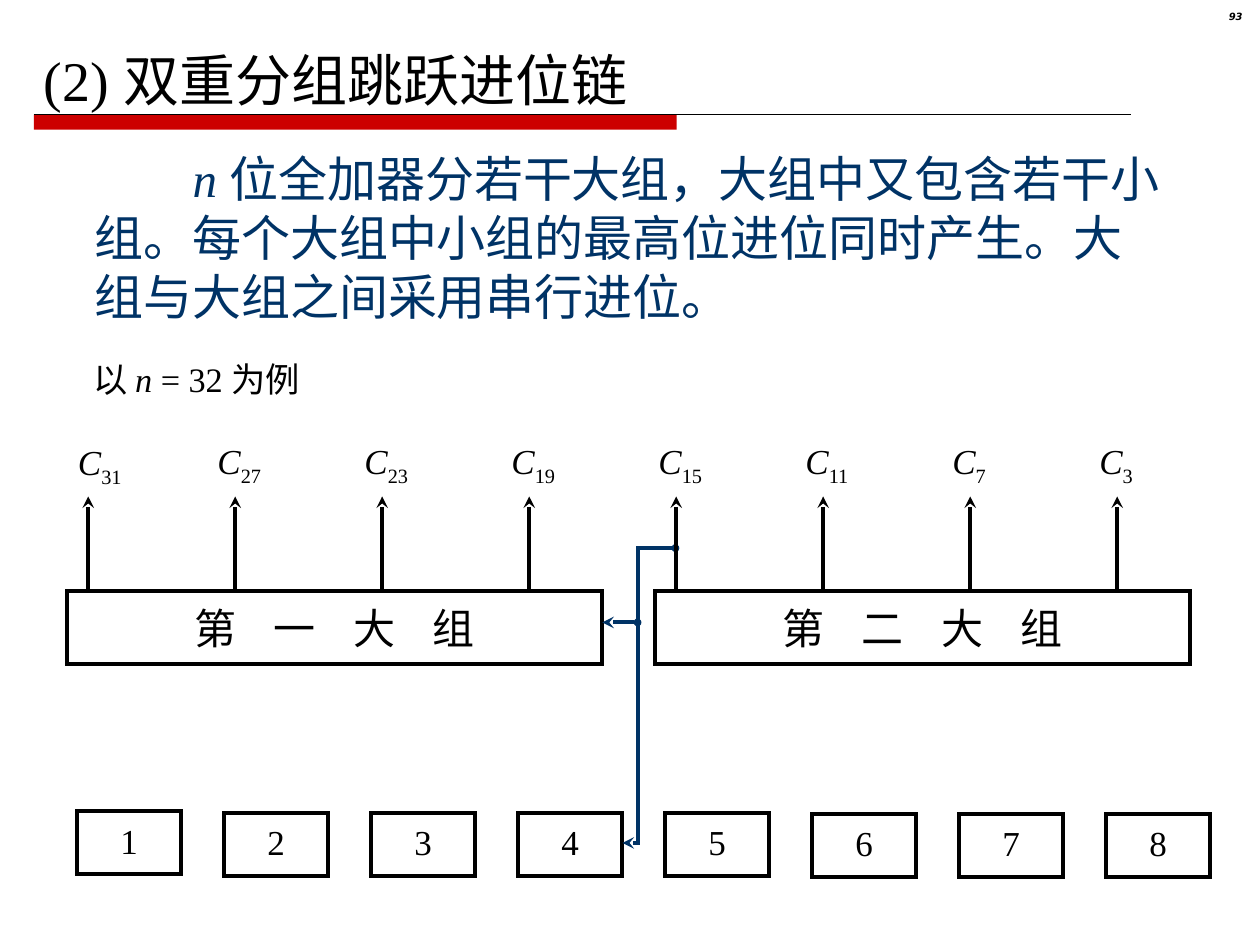
from lxml import etree
from pptx import Presentation, util as u
from pptx.dml.color import RGBColor
from pptx.enum import shapes, text
from pptx.oxml.ns import qn

BLACK = RGBColor(0x00, 0x00, 0x00)
NAVY = RGBColor(0x00, 0x33, 0x66)
RED = RGBColor(0xCC, 0x00, 0x00)
SERIF = "Times New Roman"
I = u.Inches

COL = 7 / 6             # pitch of the eight columns
BUS_X = 5.06            # vertical carry line between the two large groups
GROUP_Y, GROUP_H = 4.69, 0.58

prs = Presentation()
prs.slide_width, prs.slide_height = I(10), I(7.5)
s = prs.slides.add_slide(prs.slide_layouts[6])


def write(sp, runs, size, color=BLACK, font=SERIF, inset=(0.1, 0.05),
          anchor=text.MSO_ANCHOR.MIDDLE, wrap=True):
    """Fill a shape with one paragraph of (words, italic, baseline) runs."""
    tf = sp.text_frame
    tf.word_wrap = wrap
    tf.vertical_anchor = anchor
    tf.margin_left = tf.margin_right = I(inset[0])
    tf.margin_top = tf.margin_bottom = I(inset[1])
    p = tf.paragraphs[0]
    p.font.size, p.font.name, p.font.color.rgb = u.Pt(size), font, color
    for words, italic, baseline in runs:
        r = p.add_run()
        r.text = words
        r.font.size, r.font.name, r.font.color.rgb = u.Pt(size), font, color
        if italic:
            r.font.italic = True
        if baseline:
            r.font._element.set("baseline", str(baseline))
    return p


def stroke(sp, color, width=2.25, head=None, tail=None):
    """Give a line its colour, width, square corners and ends, and no shadow."""
    sp.line.color.rgb, sp.line.width = color, u.Pt(width)
    spPr = sp._element.spPr
    ln = spPr.find(qn("a:ln"))
    etree.SubElement(ln, qn("a:miter"), lim="800000")
    for tag, kind in (("a:headEnd", head), ("a:tailEnd", tail)):
        if kind:
            size = "sm" if kind == "oval" else "med"
            etree.SubElement(ln, qn(tag), type=kind, w=size, len=size)
    if spPr.find(qn("a:effectLst")) is None:
        etree.SubElement(spPr, qn("a:effectLst"))


# Title rule: red bar and thin line
sp = s.shapes.add_shape(shapes.MSO_SHAPE.RECTANGLE, I(0.27), I(0.91), I(5.1), I(0.12))
sp.shadow.inherit = False
sp.fill.solid()
sp.fill.fore_color.rgb = RED
sp.line.fill.background()
rule = s.shapes.add_connector(shapes.MSO_CONNECTOR.STRAIGHT, I(0.27), I(0.91), I(8.98), I(0.91))
stroke(rule, BLACK, 0.75)

# Page number
sp = s.shapes.add_textbox(I(9.37), I(0.05), I(0.59), I(0.23))
p = write(sp, [("93", True, 0)], 5.7, font="DejaVu Sans", anchor=text.MSO_ANCHOR.TOP)
p.alignment, p.line_spacing = text.PP_ALIGN.RIGHT, 0.8
p.runs[0].font.bold = True

# Title
sp = s.shapes.add_textbox(I(0.25), I(0.25), I(7.92), I(0.75))
write(sp, [("(2) 双重分组跳跃进位链", False, 0)], 32)

# Body, with an indented first line
sp = s.shapes.add_textbox(I(0.75), I(0.92), I(8.5), I(1.92))
p = write(sp, [("n ", True, 0),
               ("位全加器分若干大组，大组中又包含若干小组。每个大组中小组的最高位进位同时产生。"
                "大组与大组之间采用串行进位。", False, 0)], 28, NAVY, inset=(0, 0))
p._p.get_or_add_pPr().set("indent", str(I(0.78)))

# Example line
sp = s.shapes.add_textbox(I(0.74), I(2.84), I(2.76), I(0.39))
p = write(sp, [("以 ", False, 0), ("n", True, 0), (" = 32 为例", False, 0)], 19.6, inset=(0, 0))
p.line_spacing = 0.8

# Eight small groups, then two large groups of four columns each
boxes = [(str(i + 1), 0.61 + i * COL, 6.44 + 0.01 * ((i > 0) + (i > 4)), 0.83, 0.5, 20)
         for i in range(8)]
boxes += [(words, 0.53 + i * 4 * COL, GROUP_Y, 4.25, GROUP_H, 24)
          for i, words in enumerate(("第 一 大 组", "第 二 大 组"))]
for words, x, y, w, h, size in boxes:
    sp = s.shapes.add_shape(shapes.MSO_SHAPE.RECTANGLE, I(x), I(y), I(w), I(h))
    sp.shadow.inherit = False
    sp.fill.background()
    stroke(sp, BLACK)
    p = write(sp, [(words, False, 0)], size)
    p.alignment = text.PP_ALIGN.CENTER
    if size == 24:
        p.runs[0].font._element.set("spc", "800")
    else:
        sp.text_frame.margin_bottom = I(0.09)

# Carry from the second large group into the first one and small group 4
stub = s.shapes.add_connector(shapes.MSO_CONNECTOR.STRAIGHT, I(4.78), I(4.94), I(BUS_X), I(4.94))
stroke(stub, NAVY, head="stealth", tail="oval")
fb = s.shapes.build_freeform(I(4.94), I(6.69))
fb.add_line_segments([(I(x), I(y)) for x, y in ((BUS_X, 6.69), (BUS_X, 4.35), (5.36, 4.35))],
                     close=False)
bus = fb.convert_to_shape()
bus.shadow.inherit = False
bus.fill.background()
stroke(bus, NAVY, head="stealth", tail="oval")

# Carry outputs C31, C27 ... C3
for i in range(8):
    x = 0.7 + i * COL
    arrow = s.shapes.add_connector(shapes.MSO_CONNECTOR.STRAIGHT, I(x), I(GROUP_Y), I(x), I(3.94))
    stroke(arrow, BLACK, tail="stealth")
    bit = 31 - 4 * i
    left, top = (0.52, 3.45) if i == 0 else (x - 0.24, 3.44)
    sp = s.shapes.add_textbox(I(left), I(top), I(0.55 if bit > 9 else 0.5), I(0.48))
    write(sp, [("C", True, 0), (str(bit), False, -25000)], 20, anchor=text.MSO_ANCHOR.TOP)

prs.save("out.pptx")
